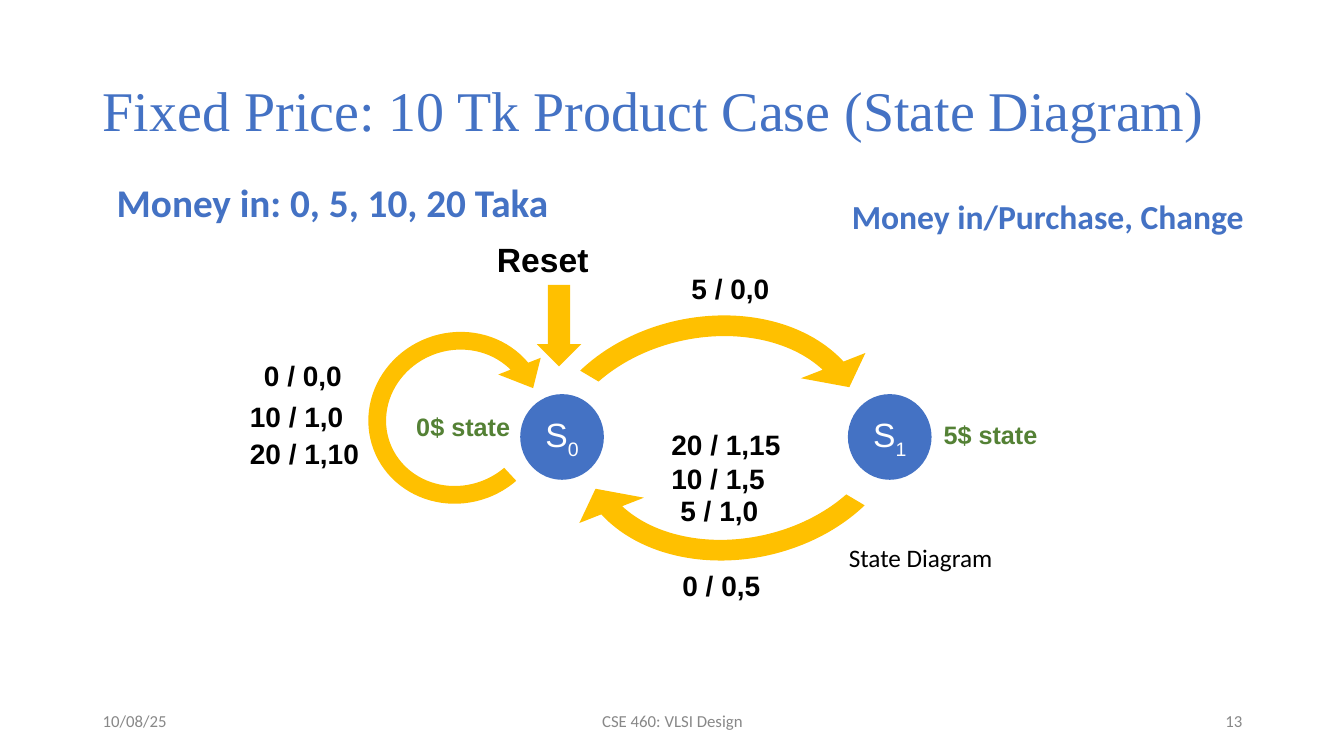
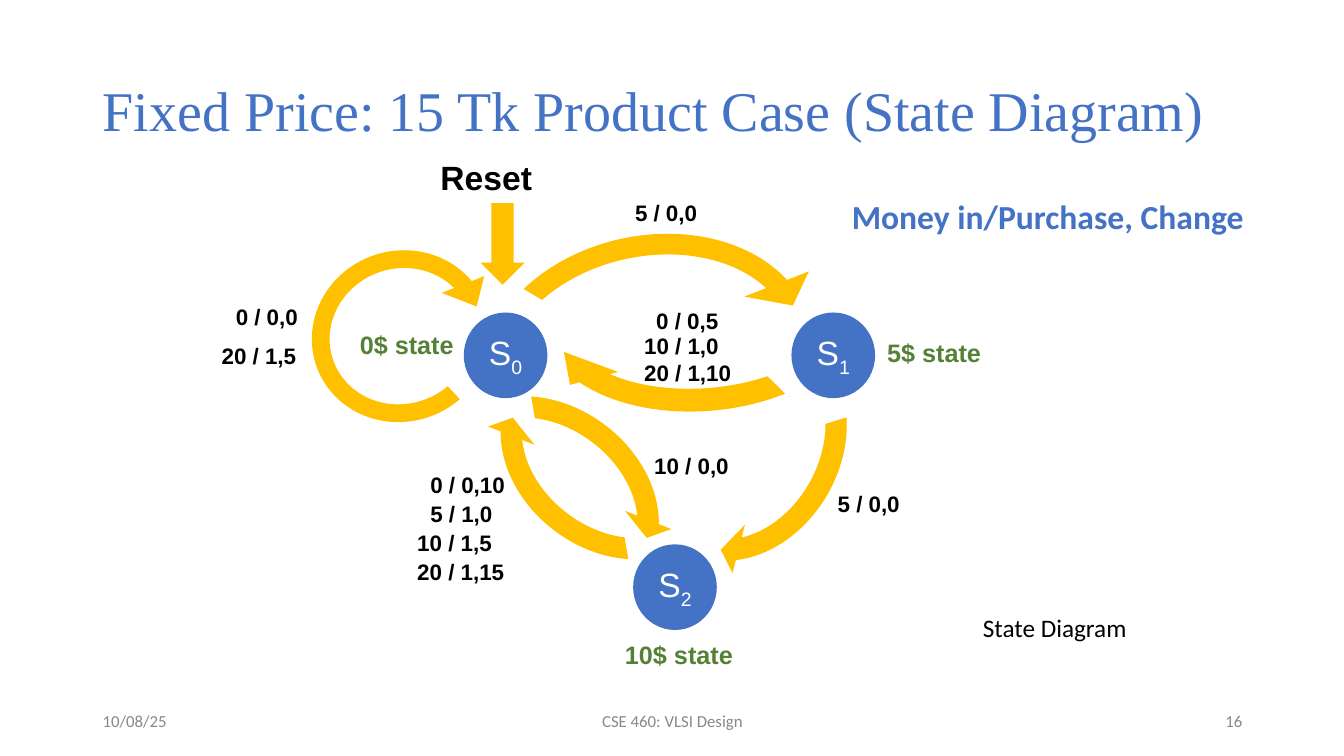
import pptx
import pptx.dml.color
import pptx.enum.shapes
import pptx.enum.text
import pptx.util

Inches = pptx.util.Inches
SHAPES = pptx.enum.shapes.MSO_SHAPE
ALIGN = pptx.enum.text.PP_ALIGN
ANCHOR = pptx.enum.text.MSO_ANCHOR
AUTO_SIZE = pptx.enum.text.MSO_AUTO_SIZE

# Shared style
BLUE, GOLD, GREEN = "4472C4", "FFC000", "548135"
BLACK, GREY, WHITE = "000000", "888888", "FFFFFF"
HEADING_FONT, BODY_FONT, DIAGRAM_FONT = "Times New Roman", "Calibri", "Arial"
STATE_SIZE = (0.83, 0.85)

# Curved arrows: size, band thickness, head half width (shares of the height),
# then head sweep, head start and tail in degrees
WIDE_ARC = ((3.81, 2.99), 0.0687, 0.115, 9.9, 341.1, 223)
SHORT_ARC = ((2.63, 2.13), 0.1, 0.116, 9.8, 334.5, 223)
FLAT_ARC = ((3.47, 2.19), 0.1033, 0.1125, 15.2, 334.6, 229.5)
LOOP = ((2.06, 1.97), 0.0893, 0.1147, 18.4, 340.6, 67.6)


def color(hex_string):
    return pptx.dml.color.RGBColor.from_string(hex_string)


def write_text(shape, text, size=18, font=BODY_FONT, fill=BLACK, bold=False,
               align=ALIGN.LEFT, anchor=ANCHOR.TOP, wrap=True, subscript="",
               line_spacing=None, grow=False):
    """Put one formatted paragraph into a shape, with an optional subscript."""
    frame = shape.text_frame
    frame.word_wrap = wrap
    frame.vertical_anchor = anchor
    frame.auto_size = AUTO_SIZE.SHAPE_TO_FIT_TEXT if grow else AUTO_SIZE.NONE
    paragraph = frame.paragraphs[0]
    paragraph.alignment = align
    if line_spacing:
        paragraph.line_spacing = line_spacing
    for part in filter(None, (text, subscript)):
        run = paragraph.add_run()
        run.text = part
        run.font.size = pptx.util.Pt(size)
        run.font.name = font
        run.font.bold = bold
        run.font.color.rgb = color(fill)
    if subscript:
        run._r.get_or_add_rPr().set("baseline", "-25000")


def add_label(slide, box, text, grow=True, **text_format):
    label = slide.shapes.add_textbox(*map(Inches, box))
    write_text(label, text, grow=grow, **text_format)


def add_painted(slide, kind, box, fill, rotation=0):
    shape = slide.shapes.add_shape(kind, *map(Inches, box))
    shape.shadow.inherit = False
    shape.fill.solid()
    shape.fill.fore_color.rgb = color(fill)
    shape.line.fill.background()
    shape.rotation = rotation
    return shape


def offset(origin, left, top):
    return origin[0] + left, origin[1] + top


def add_state(slide, origin, left, top, number):
    box = offset(origin, left, top) + STATE_SIZE
    state = add_painted(slide, SHAPES.OVAL, box, BLUE)
    write_text(state, "S", subscript=number, size=24, font=DIAGRAM_FONT,
               fill=WHITE, align=ALIGN.CENTER, anchor=ANCHOR.MIDDLE)


def add_state_name(slide, origin, left, top, text):
    add_label(slide, offset(origin, left, top) + (1.65, 0.4), text,
              font=DIAGRAM_FONT, fill=GREEN, bold=True)


def add_arc(slide, origin, left, top, style, rotation):
    """Draw a curved arrow in one of the shared styles."""
    size, band, head, sweep, head_start, tail = style
    arc = add_painted(slide, SHAPES.CIRCULAR_ARROW, offset(origin, left, top) + size,
                      GOLD, rotation)
    # Angles are stored in 60000ths of a degree, adjustments in 100000ths
    values = (band, sweep * 0.6, head_start * 0.6, tail * 0.6, head)
    for index, value in enumerate(values):
        arc.adjustments[index] = value


def add_transitions(slide, origin, size, labels):
    height = size * 0.0175 + 0.09
    for text, left, top, *width in labels:
        box = offset(origin, left, top) + (width[0] if width else 1.16, height)
        add_label(slide, box, text, size=size, font=DIAGRAM_FONT, bold=True)


def add_core(slide, origin):
    """States S0 and S1 with the reset, the loop and the arc between them."""
    add_state(slide, origin, 0, 0, "0")
    add_state(slide, origin, 3.25, 0, "1")
    add_arc(slide, origin, -0.08, -1, WIDE_ARC, 347.6)
    add_arc(slide, origin, -1.65, -0.75, LOOP, 339.5)
    add_state_name(slide, origin, -1.13, 0.12, "0$ state")
    add_state_name(slide, origin, 4.1, 0.2, "5$ state")
    add_painted(slide, SHAPES.LEFT_ARROW, offset(origin, -0.02, -0.9) + (0.81, 0.44),
                GOLD, rotation=270)
    add_label(slide, offset(origin, -0.33, -1.59) + (1.49, 0.5), "Reset",
              size=24, font=DIAGRAM_FONT, bold=True)


def add_frame(presentation, price, number, caption_corner):
    """Title, key, caption and footer of a slide."""
    slide = presentation.slides.add_slide(presentation.slide_layouts[5])
    title = slide.shapes.title
    title.left, title.top, title.width, title.height = map(Inches, (0.92, 0.4, 11.5, 1.45))
    write_text(title, f"Fixed Price: {price} Tk Product Case (State Diagram)", size=40,
               font=HEADING_FONT, fill=BLUE, anchor=ANCHOR.MIDDLE, line_spacing=0.9)
    add_label(slide, (8.35, 1.89, 4.26, 0.5), "Money in/Purchase, Change",
              size=24, fill=BLUE, bold=True)
    add_label(slide, caption_corner + (1.76, 0.4), "State Diagram")
    for left, width, text, align in (
            (0.92, 3, "10/08/25", ALIGN.LEFT),
            (4.42, 4.5, "CSE 460: VLSI Design", ALIGN.CENTER),
            (9.42, 3, number, ALIGN.RIGHT)):
        add_label(slide, (left, 6.95, width, 0.4), text, grow=False, size=12,
                  fill=GREY, align=align, anchor=ANCHOR.MIDDLE)
    return slide


def add_two_state_diagram(slide, origin):
    add_core(slide, origin)
    add_arc(slide, origin, 0.28, -1.12, WIDE_ARC, 167.6)
    add_transitions(slide, origin, 20, [
        ("5 / 0,0", 1.6, -1.27),
        # S1 back to S0
        ("20 / 1,15", 1.4, 0.28, 1.65), ("10 / 1,5", 1.4, 0.62),
        ("5 / 1,0", 1.49, 0.94), ("0 / 0,5", 1.51, 1.68),
        # Loop at S0
        ("0 / 0,0", -2.64, -0.4), ("10 / 1,0", -2.78, 0),
        ("20 / 1,10", -2.78, 0.37, 1.52),
    ])


def add_three_state_diagram(slide, origin):
    add_core(slide, origin)
    add_state(slide, origin, 1.68, 2.3, "2")
    add_state_name(slide, origin, 1.5, 3.19, "10$ state")
    add_arc(slide, origin, -0.47, 0.79, SHORT_ARC, 37.2)
    add_arc(slide, origin, 0.14, 0.36, SHORT_ARC, 217.2)
    add_arc(slide, origin, 1.49, 0.28, SHORT_ARC, 120)
    add_arc(slide, origin, 0.65, -1.08, FLAT_ARC, 175.1)
    add_transitions(slide, origin, 16, [
        ("5 / 0,0", 1.6, -1.17),
        # S1 back to S0
        ("0 / 0,5", 1.81, -0.1), ("10 / 1,0", 1.69, 0.15),
        ("20 / 1,10", 1.69, 0.41, 1.54),
        # Loop at S0
        ("0 / 0,0", -2.36, -0.14), ("20 / 1,5", -2.5, 0.25),
        # Into S2
        ("10 / 0,0", 1.79, 1.34), ("5 / 0,0", 3.61, 1.71),
        # S2 back to S0
        ("0 / 0,10", -0.43, 1.53), ("5 / 1,0", -0.43, 1.81),
        ("10 / 1,5", -0.56, 2.1), ("20 / 1,15", -0.56, 2.39),
    ])


def main():
    presentation = pptx.Presentation()
    presentation.slide_width, presentation.slide_height = Inches(13.33), Inches(7.5)

    slide = add_frame(presentation, 10, "13", (8.32, 5.33))
    add_label(slide, (1.06, 1.72, 6.67, 0.57), "Money in: 0, 5, 10, 20 Taka",
              size=28, fill=BLUE, bold=True)
    add_two_state_diagram(slide, (5.16, 3.91))

    slide = add_frame(presentation, 15, "16", (9.65, 6.03))
    add_three_state_diagram(slide, (4.6, 3.1))

    presentation.save("out.pptx")


if __name__ == "__main__":
    main()
